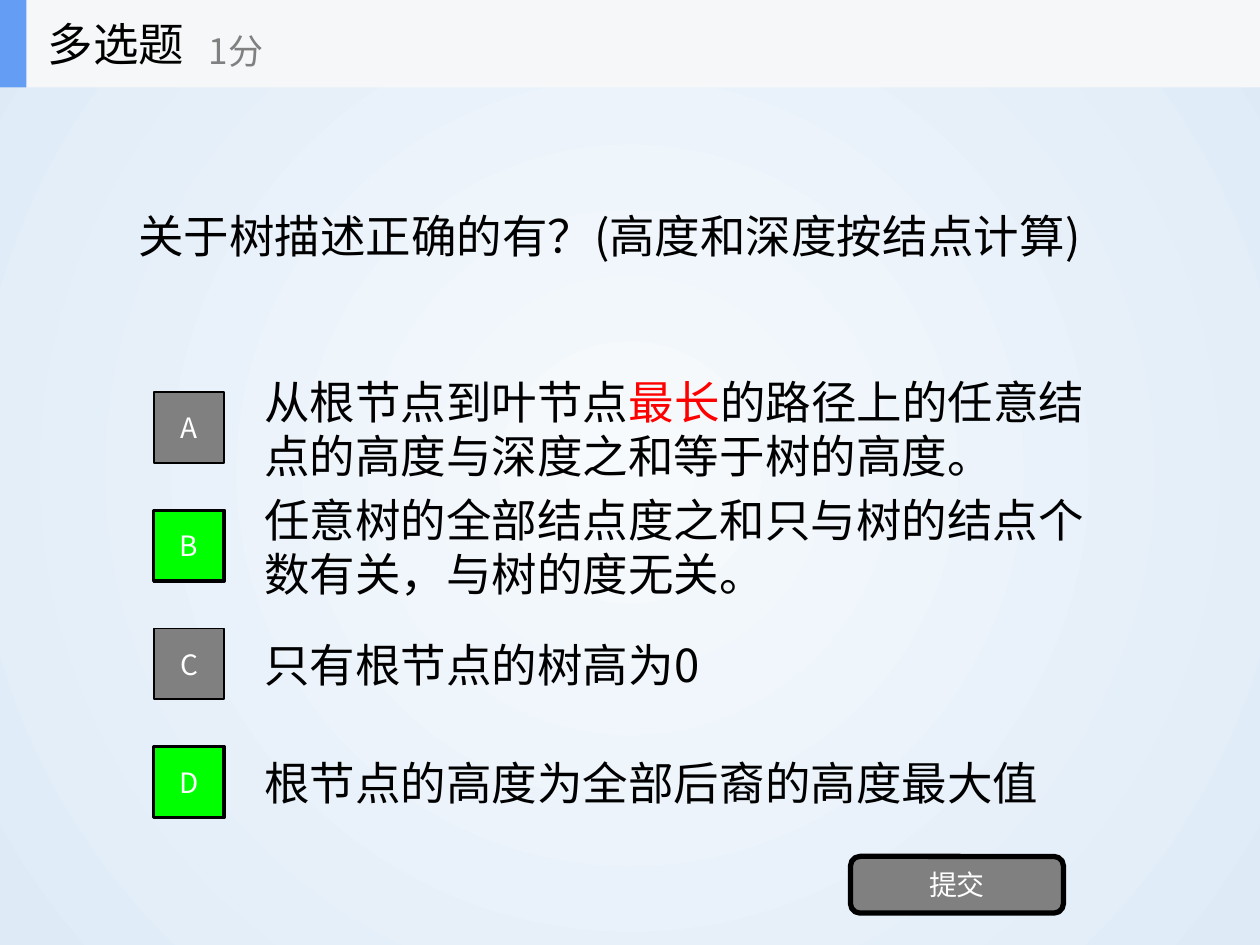
from lxml import etree
from pptx import Presentation
from pptx.dml.color import RGBColor
from pptx.enum.shapes import MSO_SHAPE
from pptx.enum.text import MSO_ANCHOR, PP_ALIGN
from pptx.oxml import parse_xml
from pptx.oxml.ns import nsdecls, qn
from pptx.util import Inches, Pt

RECT, ROUNDED = MSO_SHAPE.RECTANGLE, MSO_SHAPE.ROUNDED_RECTANGLE
LEFT, CENTER = PP_ALIGN.LEFT, PP_ALIGN.CENTER
MIDDLE = MSO_ANCHOR.MIDDLE
FONT = "Noto Sans CJK SC"
COLORS = {
    "black": "000000", "white": "FFFFFF", "grey": "808080", "red": "FF0000",
    "correct": "00FF00", "bar": "F6F7F8", "accent": "639EF4",
    "bg_center": "F7FAFD", "bg_edge": "DEEBF7",
}

prs = Presentation()
prs.slide_width, prs.slide_height = Inches(10), Inches(7.5)
COL, ROW = prs.slide_width / 10, prs.slide_height / 8
s = prs.slides.add_slide(prs.slide_layouts[6])


def add_box(shapes, x, y, w, h, shape=None, fill=None, line=0):
    """Add a text box, or a filled preset shape, placed in grid columns and rows."""
    place = [int(v) for v in (x * COL, y * ROW, w * COL, h * ROW)]
    if shape is None:
        return shapes.add_textbox(*place)
    sp = shapes.add_shape(shape, *place)
    sp.shadow.inherit = False
    sp.fill.solid()
    sp.fill.fore_color.rgb = RGBColor.from_string(COLORS[fill])
    if line:
        sp.line.color.rgb = RGBColor.from_string(COLORS["black"])
        sp.line.width = Pt(line)
    else:
        sp.line.fill.background()
    return sp


def write(sp, *runs, size=26, color="black", align=LEFT, wrap=True):
    """Write runs, each a string or a (string, color) pair, as one paragraph."""
    tf = sp.text_frame
    tf.word_wrap, tf.vertical_anchor = wrap, MIDDLE
    p = tf.paragraphs[0]
    p.alignment = align
    for run in runs:
        text, run_color = (run, color) if isinstance(run, str) else run
        r = p.add_run()
        r.text = text
        r.font.size, r.font.name = Pt(size), FONT
        r.font.color.rgb = RGBColor.from_string(COLORS[run_color])
        etree.SubElement(r.font._element, qn("a:ea"), typeface=FONT)


# Radial background
s._element.cSld.insert(0, parse_xml(
    f'<p:bg {nsdecls("p", "a")}><p:bgPr><a:gradFill rotWithShape="1"><a:gsLst>'
    f'<a:gs pos="0"><a:srgbClr val="{COLORS["bg_center"]}"/></a:gs>'
    f'<a:gs pos="100000"><a:srgbClr val="{COLORS["bg_edge"]}"/></a:gs></a:gsLst>'
    '<a:path path="circle"><a:fillToRect l="50000" t="50000" r="50000" b="50000"/>'
    '</a:path></a:gradFill><a:effectLst/></p:bgPr></p:bg>'))

# Question
write(add_box(s.shapes, 1, 0.74, 8, 2.5), "关于树描述正确的有？(高度和深度按结点计算)")

# Options: letter badge and text, one grid row each
options = [
    (("从根节点到叶节点", ("最长", "red"), "的路径上的任意结点的高度与深度之和等于树的高度。"), False),
    (("任意树的全部结点度之和只与树的结点个数有关，与树的度无关。",), True),
    (("只有根节点的树高为0",), False),
    (("根节点的高度为全部后裔的高度最大值",), True),
]
for i, (runs, correct) in enumerate(options):
    y = 3.25 + i
    write(add_box(s.shapes, 2, y, 7, 0.75), *runs)
    badge = add_box(s.shapes, 1.22, y + 0.07, 0.56, 0.6, RECT,
                    "correct" if correct else "grey", 2 if correct else 1)
    write(badge, "ABCD"[i], size=16, color="white", align=CENTER, wrap=False)

# Submit button
submit = add_box(s.shapes, 6.75, 7.25, 1.69, 0.48, ROUNDED, "grey", 3)
write(submit, "提交", size=16, color="white", align=CENTER)

# Header
header = s.shapes.add_group_shape().shapes
add_box(header, 0, 0, 10, 0.74, RECT, "bar")
add_box(header, 0, 0, 0.21, 0.74, RECT, "accent")
write(add_box(header, 0.28, 0, 2.08, 0.74), "多选题", wrap=False)
write(add_box(header, 1.56, 0.13, 2.5, 0.6), "1分", size=20, color="grey", wrap=False)

prs.save("out.pptx")
